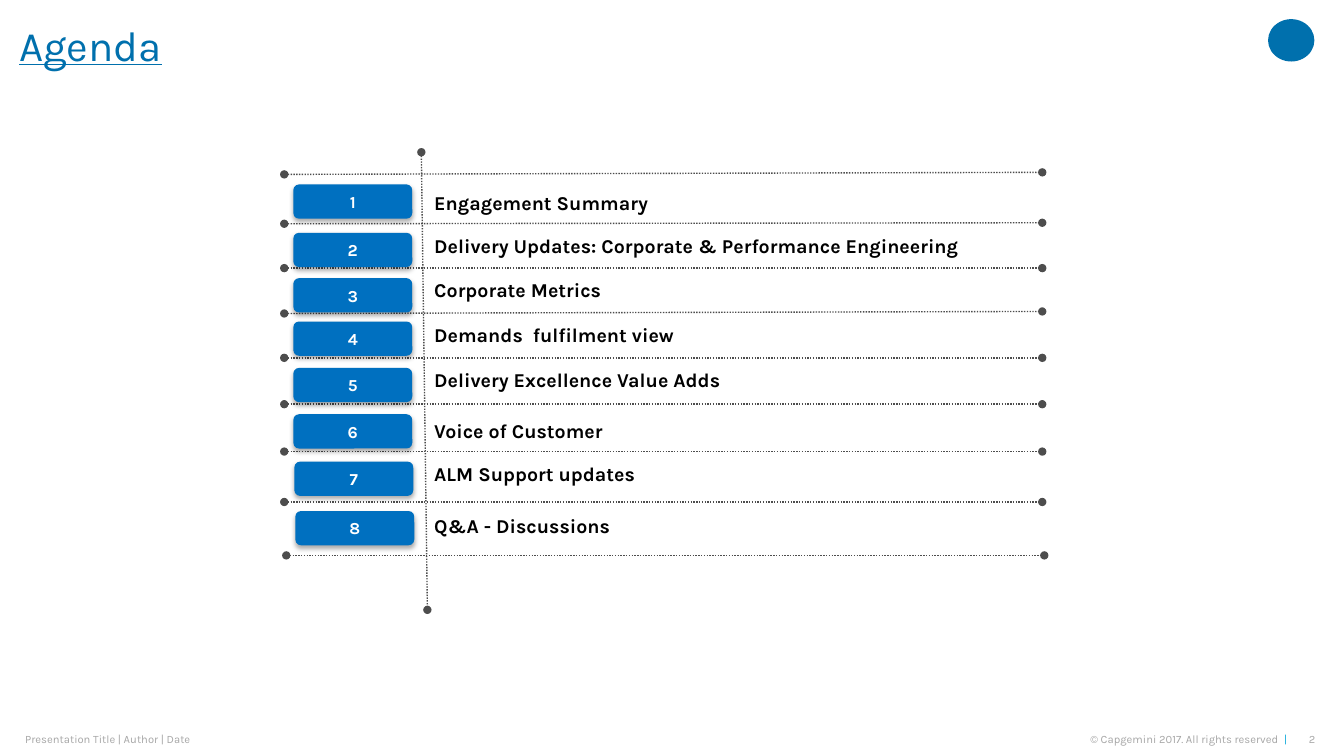
import pptx
import pptx.util
import pptx.dml.color
import pptx.enum.dml
import pptx.enum.shapes
import pptx.enum.text
import pptx.oxml
import pptx.oxml.ns
from dataclasses import dataclass

ALIGN = pptx.enum.text.PP_ALIGN
ANCHOR = pptx.enum.text.MSO_ANCHOR
SHAPE = pptx.enum.shapes.MSO_SHAPE
qn = pptx.oxml.ns.qn


@dataclass(frozen=True)
class Theme:
    font: str = "Karla"
    title: str = "0070AD"
    accent: str = "12ABDB"
    badge: str = "0070C0"
    badge_text: str = "FFFFFF"
    label: str = "000000"
    rule: str = "4D4D4D"
    footer: str = "A6A6A6"
    title_size: int = 30
    label_size: int = 14
    badge_size: int = 12
    footer_size: int = 8


class Deck:
    """Draws on a grid of cells, each a tenth of an inch."""

    CELL = 0.1

    def __init__(self, theme, columns, rows):
        self.theme = theme
        self.prs = pptx.Presentation()
        self.prs.slide_width, self.prs.slide_height = self.grid(columns, rows)
        self.slide = self.prs.slides.add_slide(self.prs.slide_layouts[6])

    def grid(self, *cells):
        return [pptx.util.Inches(c * self.CELL) for c in cells]

    def rgb(self, color):
        return pptx.dml.color.RGBColor.from_string(color)

    def set_text(self, sp, text, size, color, bold=False, align=ALIGN.LEFT):
        p = sp.text_frame.paragraphs[0]
        p.alignment = align
        p.font.name, p.font.size, p.font.bold = self.theme.font, pptx.util.Pt(size), bold
        p.font.color.rgb = self.rgb(color)
        p.add_run().text = text
        return p

    def text(self, box, text, size, color, inset=True, wrap=True, **style):
        sp = self.slide.shapes.add_textbox(*self.grid(*box))
        tf = sp.text_frame
        tf.word_wrap = wrap
        if not inset:
            tf.margin_left = tf.margin_right = tf.margin_top = tf.margin_bottom = 0
            tf.vertical_anchor = ANCHOR.MIDDLE
        return self.set_text(sp, text, size, color, **style)

    def shape(self, kind, box, color):
        sp = self.slide.shapes.add_shape(kind, *self.grid(*box))
        sp.fill.solid()
        sp.fill.fore_color.rgb = self.rgb(color)
        sp.line.fill.background()
        sp.shadow.inherit = False
        return sp

    def badge(self, box, text):
        sp = self.shape(SHAPE.ROUNDED_RECTANGLE, box, self.theme.badge)
        sp.text_frame.vertical_anchor = ANCHOR.MIDDLE
        self.set_text(sp, text, self.theme.badge_size, self.theme.badge_text,
                      bold=True, align=ALIGN.CENTER)
        # Soft shadow straight below
        effects = sp._element.spPr.find(qn("a:effectLst"))
        effects.append(pptx.oxml.parse_xml(
            f'<a:outerShdw {pptx.oxml.ns.nsdecls("a")} blurRad="{pptx.util.Pt(3.5)}" '
            f'dist="{pptx.util.Pt(2.2)}" dir="5400000" rotWithShape="0">'
            '<a:srgbClr val="000000"><a:alpha val="32000"/></a:srgbClr></a:outerShdw>'))

    def dotted_line(self, x1, y1, x2, y2):
        line = self.slide.shapes.add_connector(
            pptx.enum.shapes.MSO_CONNECTOR.STRAIGHT, *self.grid(x1, y1, x2, y2))
        line.line.color.rgb = self.rgb(self.theme.rule)
        line.line.width = pptx.util.Pt(1)
        line.line.dash_style = pptx.enum.dml.MSO_LINE.ROUND_DOT
        sp_pr = line._element.spPr
        ln = sp_pr.find(qn("a:ln"))
        for end in ("a:headEnd", "a:tailEnd"):
            ln.append(pptx.oxml.parse_xml(
                f'<{end} {pptx.oxml.ns.nsdecls("a")} type="oval"/>'))
        sp_pr.append(pptx.oxml.parse_xml(
            f'<a:effectLst {pptx.oxml.ns.nsdecls("a")}/>'))


# Topic, badge left, badge top, label top
AGENDA = [
    ("Engagement Summary", 29.1, 18.3, 18.4),
    ("Delivery Updates: Corporate & Performance Engineering", 29.1, 23.1, 22.7),
    ("Corporate Metrics", 29.1, 27.6, 27.1),
    ("Demands  fulfilment view", 29.1, 31.9, 31.5),
    ("Delivery Excellence Value Adds", 29.1, 36.5, 36),
    ("Voice of Customer", 29.1, 41.1, 41.1),
    ("ALM Support updates", 29.2, 45.8, 45.3),
    ("Q&A - Discussions", 29.3, 50.7, 50.5),
]
# Left end, height at left, height at right
RULES = [
    (28.2, 17.3, 17.1), (28.2, 22.2, 22.1), (28.2, 26.6, 26.6),
    (28.2, 31.1, 30.9), (28.2, 35.5, 35.5), (28.2, 40.1, 40.1),
    (28.2, 44.8, 44.8), (28.2, 49.8, 49.8), (28.4, 55.1, 55.1),
]
RULE_LENGTH = 75.2


def main():
    theme = Theme()
    deck = Deck(theme, 133.33, 75)

    # Header
    title = deck.text((1.9, 1.7, 121.7, 6.2), "Agenda", theme.title_size,
                      theme.title, inset=False)
    title.font.underline = True
    title.line_spacing = 0.9
    deck.shape(SHAPE.OVAL, (125.8, 1.9, 4.6, 4.2), theme.title)

    # Agenda lines
    deck.dotted_line(41.8, 15.1, 42.4, 60.5)
    for left, y_left, y_right in RULES:
        deck.dotted_line(left, y_left, left + RULE_LENGTH, y_right)

    # Agenda items
    for number, (topic, left, badge_top, label_top) in enumerate(AGENDA, 1):
        deck.badge((left, badge_top, 11.8, 3.4), str(number))
        deck.text((42.1, label_top, 58.3, 3.4), topic, theme.label_size,
                  theme.label, bold=True)

    # Footer
    small = dict(size=theme.footer_size, color=theme.footer, inset=False)
    deck.text((2.5, 72.7, 51.6, 1.3), "Presentation Title | Author | Date",
              wrap=False, **small)
    p = deck.text((98.6, 72.7, 29.1, 1.3), "© Capgemini 2017. All rights reserved  ",
                  align=ALIGN.RIGHT, **small)
    r = p.add_run()
    r.text = "|"
    r.font.color.rgb = deck.rgb(theme.accent)
    deck.text((129.1, 72.7, 1.4, 1.3), "2", wrap=False, align=ALIGN.RIGHT, **small)

    deck.prs.save("out.pptx")


if __name__ == "__main__":
    main()
